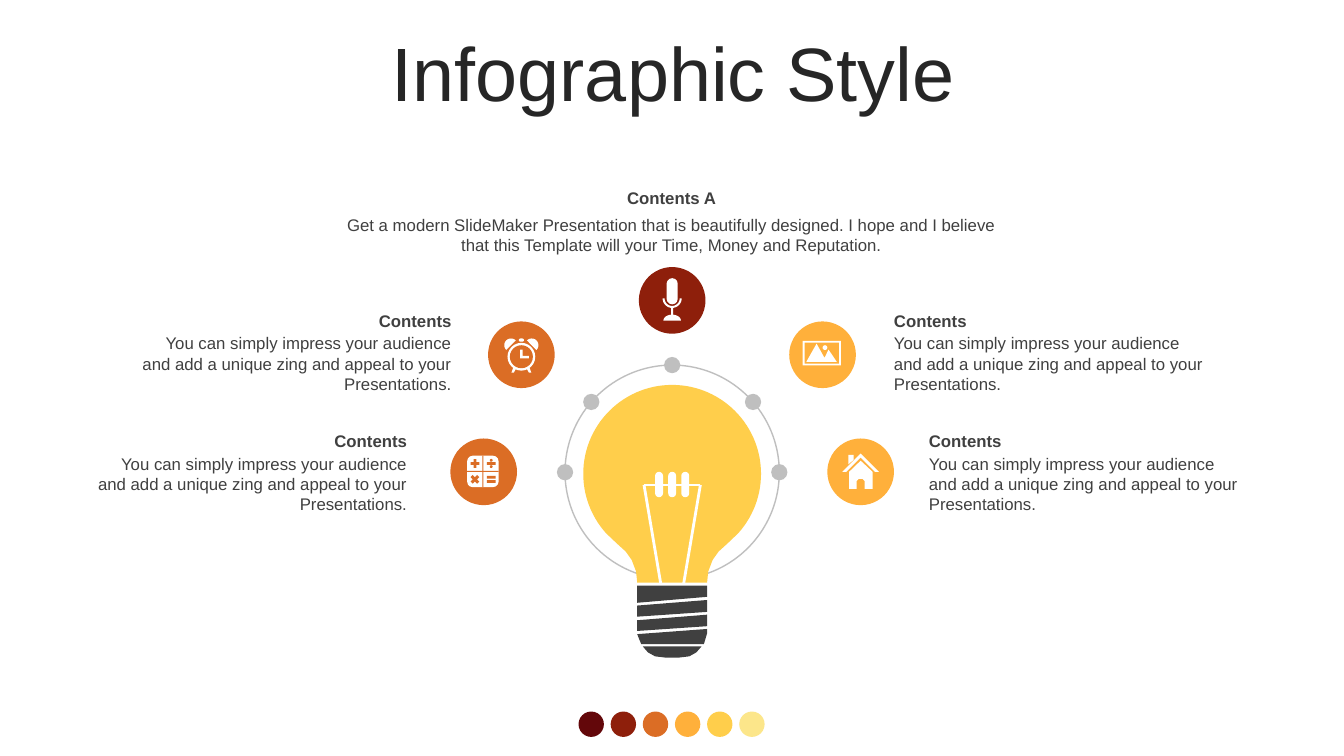
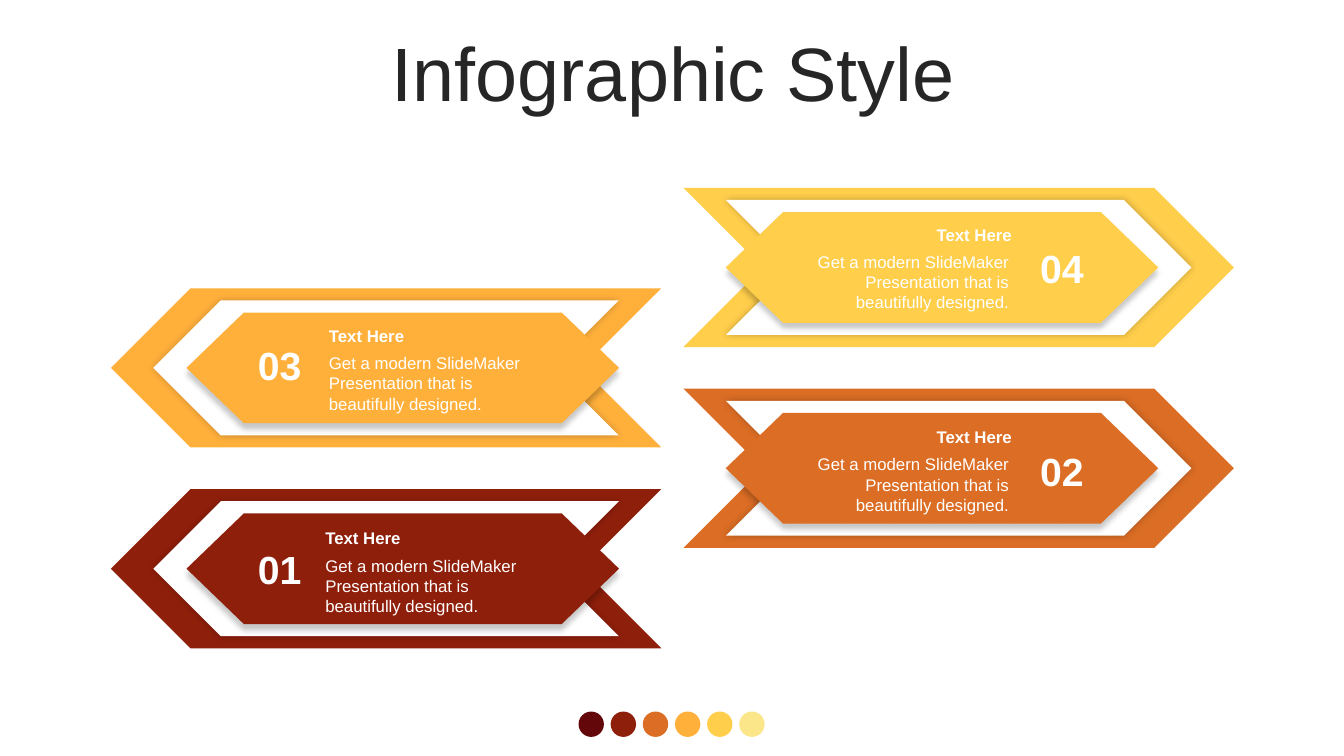
from math import cos, radians, sin

from lxml import etree
from pptx import Presentation
from pptx.dml.color import RGBColor
from pptx.enum.shapes import MSO_CONNECTOR, MSO_SHAPE
from pptx.enum.text import MSO_ANCHOR, MSO_AUTO_SIZE, PP_ALIGN
from pptx.oxml.ns import qn
from pptx.util import Cm, Pt

OVAL, RECTANGLE, ROUNDED = MSO_SHAPE.OVAL, MSO_SHAPE.RECTANGLE, MSO_SHAPE.ROUNDED_RECTANGLE
CHEVRON, HEXAGON = MSO_SHAPE.CHEVRON, MSO_SHAPE.HEXAGON
PLUS, DIVIDE = MSO_SHAPE.MATH_PLUS, MSO_SHAPE.MATH_DIVIDE
TIMES, EQUAL = MSO_SHAPE.MATH_MULTIPLY, MSO_SHAPE.MATH_EQUAL
STRAIGHT = MSO_CONNECTOR.STRAIGHT
LEFT, CENTER, RIGHT = PP_ALIGN.LEFT, PP_ALIGN.CENTER, PP_ALIGN.RIGHT
MIDDLE = MSO_ANCHOR.MIDDLE
NO_FIT, GROW = MSO_AUTO_SIZE.NONE, MSO_AUTO_SIZE.SHAPE_TO_FIT_TEXT

FONT = "Arial"
MAROON, RED, ORANGE = "63070A", "8E1F0B", "DB6D25"
AMBER, YELLOW, CREAM = "FFB03B", "FFCE4B", "FCE68A"
WHITE, GRAY, DARK, INK = "FFFFFF", "BFBFBF", "404040", "262626"

rgb = RGBColor.from_string


def add_shape(slide, outline, x, y, color, width=0, height=0):
    """Add a preset centred on x, y, or a polygon whose points are offsets from x, y (cm)."""
    if isinstance(outline, list):
        points = [(Cm(x + dx), Cm(y + dy)) for dx, dy in outline]
        builder = slide.shapes.build_freeform(*points[0], scale=1.0)
        builder.add_line_segments(points[1:], close=True)
        shape = builder.convert_to_shape()
    else:
        shape = slide.shapes.add_shape(
            outline, Cm(x - width / 2), Cm(y - height / 2), Cm(width), Cm(height))
    shape.shadow.inherit = False
    shape.fill.solid()
    shape.fill.fore_color.rgb = rgb(color)
    shape.line.fill.background()
    return shape


def add_shadow(shape, blur, distance, direction):
    effects = shape.element.spPr.find(qn("a:effectLst"))
    shadow = etree.SubElement(
        effects, qn("a:outerShdw"), blurRad=str(Pt(blur)), dist=str(Pt(distance)),
        dir=str(direction * 60000), algn="ctr", rotWithShape="0")
    tint = etree.SubElement(shadow, qn("a:srgbClr"), val="000000")
    etree.SubElement(tint, qn("a:alpha"), val="22000")


deck = Presentation()
deck.slide_width, deck.slide_height = Cm(33.87), Cm(19.05)
layout = deck.slide_layouts[5]
layout_title = layout.placeholders[0]
layout_title.left, layout_title.top = Cm(0.89), Cm(0.94)
layout_title.width, layout_title.height = Cm(32.16), Cm(2.01)
bulb_slide = deck.slides.add_slide(layout)
arrow_slide = deck.slides.add_slide(layout)

# Palette dots belong to the layout
for index, color in enumerate([MAROON, RED, ORANGE, AMBER, YELLOW, CREAM]):
    dot = add_shape(bulb_slide, OVAL, 14.9 + 0.81 * index, 18.25, color, 0.64, 0.64)
    layout.shapes.element.append(dot.element)

for slide in (bulb_slide, arrow_slide):
    frame = slide.shapes.title.text_frame
    frame.vertical_anchor = MIDDLE
    frame.auto_size = NO_FIT
    para = frame.paragraphs[0]
    para.alignment = CENTER
    para.line_spacing = 0.9
    para.space_before = Pt(10)
    span = para.add_run()
    span.text = "Infographic Style"
    span.font.name = FONT
    span.font.size = Pt(54)
    span.font.color.rgb = rgb(INK)

# Light bulb inside a ring
AXIS = 16.94
RING_Y, RING_RADIUS = 11.9, 2.7
BULB_Y, BULB_RADIUS = 11.94, 2.24
ring = add_shape(bulb_slide, OVAL, AXIS, RING_Y, WHITE, 2 * RING_RADIUS, 2 * RING_RADIUS)
ring.fill.background()
ring.line.color.rgb = rgb(GRAY)
ring.line.width = Pt(1)

glass = [(BULB_RADIUS * cos(radians(angle)), BULB_RADIUS * sin(radians(angle)))
         for angle in range(138, 403, 3)]
neck = [(1.4, 1.75), (1.17, 1.96), (1.02, 2.17), (0.91, 2.46), (0.88, 2.74)]
mirrored_neck = [(-dx, dy) for dx, dy in reversed(neck)]
add_shape(bulb_slide, glass + neck + mirrored_neck, AXIS, BULB_Y, YELLOW)

HALF = 0.88
screw_threads = [
    [(-HALF, 0), (HALF, 0), (HALF, 0.28), (-HALF, 0.43)],
    [(-HALF, 0.5), (HALF, 0.36), (HALF, 0.66), (-HALF, 0.78)],
    [(-HALF, 0.87), (HALF, 0.73), (HALF, 1.02), (-HALF, 1.14)],
    [(-HALF, 1.22), (HALF, 1.09), (HALF, 1.2), (0.8, 1.47), (-0.78, 1.47), (-0.85, 1.3)],
    [(-0.74, 1.53), (0.74, 1.53), (0.61, 1.68), (0.43, 1.78), (0.18, 1.81),
     (-0.18, 1.81), (-0.43, 1.78), (-0.61, 1.68)],
]
for thread in screw_threads:
    add_shape(bulb_slide, thread, AXIS, 14.76, DARK)

filament = [(-0.29, 14.7), (-0.71, 12.22), (0.71, 12.22), (0.29, 14.7)]
for (start_x, start_y), (end_x, end_y) in zip(filament, filament[1:]):
    wire = bulb_slide.shapes.add_connector(
        STRAIGHT, Cm(AXIS + start_x), Cm(start_y), Cm(AXIS + end_x), Cm(end_y))
    wire.line.color.rgb = rgb(WHITE)
    wire.line.width = Pt(2)
    etree.SubElement(wire.element.spPr, qn("a:effectLst"))
for offset in (-0.33, 0, 0.33):
    coil = add_shape(bulb_slide, ROUNDED, AXIS + offset, 12.21, WHITE, 0.2, 0.64)
    coil.adjustments[0] = 0.5

for angle in (180, 221, 270, 319, 360):
    add_shape(bulb_slide, OVAL, AXIS + RING_RADIUS * cos(radians(angle)),
              RING_Y + RING_RADIUS * sin(radians(angle)), GRAY, 0.41, 0.41)

# Icons: parts are outline, x and y offset from the disc centre, colour, width, height
half_circle = [(cos(radians(angle)), sin(radians(angle))) for angle in range(0, 181, 10)]
holder = ([(0.24 * dx, 0.24 * dy) for dx, dy in half_circle]
          + [(0.19 * dx, 0.19 * dy) for dx, dy in reversed(half_circle)])
foot = [(0.22 * dx, -0.15 * dy) for dx, dy in half_circle]
microphone = [
    (ROUNDED, 0, -0.23, WHITE, 0.28, 0.66),
    (holder, 0, -0.05, WHITE),
    (RECTANGLE, 0, 0.28, WHITE, 0.05, 0.2),
    (foot, 0, 0.51, WHITE),
]

hands = [(-0.03, -0.18), (0.03, -0.18), (0.03, -0.02), (0.19, -0.02),
         (0.19, 0.04), (-0.03, 0.04)]
alarm_clock = [
    (OVAL, 0, 0.05, WHITE, 0.7, 0.7),
    (OVAL, 0, 0.05, ORANGE, 0.58, 0.58),
    (hands, 0, 0.05, WHITE),
    (ROUNDED, 0, -0.37, WHITE, 0.13, 0.08),
]
for side in (-1, 1):
    bell = [(side * 0.17 * cos(radians(angle)), 0.17 * sin(radians(angle)))
            for angle in range(-135, 46, 15)]
    leg = [(side * 0.13, 0.34), (side * 0.2, 0.31), (side * 0.25, 0.45), (side * 0.19, 0.45)]
    alarm_clock += [(bell, side * 0.26, -0.24, WHITE), (leg, 0, 0, WHITE)]

mountains = [(-0.41, 0.18), (-0.15, -0.28), (0.05, 0.08), (0.15, -0.13), (0.36, 0.18)]
landscape = [
    (RECTANGLE, -0.02, -0.04, WHITE, 0.97, 0.62),
    (RECTANGLE, -0.02, -0.04, AMBER, 0.86, 0.53),
    (OVAL, 0.06, -0.18, WHITE, 0.12, 0.12),
    (mountains, 0, 0, WHITE),
]

calculator = [
    (ROUNDED, -0.02, -0.01, WHITE, 0.79, 0.79),
    (RECTANGLE, -0.02, -0.01, ORANGE, 0.03, 0.79),
    (RECTANGLE, -0.02, -0.01, ORANGE, 0.79, 0.03),
    (PLUS, -0.22, -0.21, ORANGE, 0.3, 0.3),
    (DIVIDE, 0.19, -0.21, ORANGE, 0.3, 0.3),
    (TIMES, -0.22, 0.19, ORANGE, 0.32, 0.32),
    (EQUAL, 0.19, 0.19, ORANGE, 0.3, 0.3),
]

roof = [(0, -0.46), (0.46, 0), (0.36, 0), (0, -0.36), (-0.36, 0), (-0.46, 0)]
walls = [(0, -0.28), (0.3, 0), (0.3, 0.43), (0.1, 0.43), (0.1, 0.23), (0.05, 0.18),
         (-0.05, 0.18), (-0.1, 0.23), (-0.1, 0.43), (-0.29, 0.43), (-0.29, 0)]
chimney = [(-0.31, -0.43), (-0.18, -0.43), (-0.18, -0.3), (-0.31, -0.19)]
house = [(outline, 0, 0, WHITE) for outline in (roof, walls, chimney)]

discs = [
    (AXIS, 7.57, RED, microphone),
    (13.14, 8.94, ORANGE, alarm_clock),
    (20.73, 8.94, AMBER, landscape),
    (12.19, 11.89, ORANGE, calculator),
    (21.69, 11.89, AMBER, house),
]
for x, y, disc_color, icon in discs:
    add_shape(bulb_slide, OVAL, x, y, disc_color, 1.68, 1.68)
    for outline, dx, dy, color, *size in icon:
        part = add_shape(bulb_slide, outline, x + dx, y + dy, color, *size)
        if outline == ROUNDED:
            part.adjustments[0] = 0.17 if icon is calculator else 0.5

# Texts: slide, left, top, width, height, wording, size, bold, alignment, colour
texts = [
    (bulb_slide, 8.15, 4.6, 17.55, 0.76, "Contents A", 12, True, CENTER, DARK),
    (bulb_slide, 8.15, 5.28, 17.55, 1.27,
     "Get a modern SlideMaker Presentation that is beautifully designed. I hope and I "
     "believe that this Template will your Time, Money and Reputation.",
     12, False, CENTER, DARK),
]
impression = ("You can simply impress your audience and add a unique zing and appeal "
              "to your Presentations.")
for left, top, align in [(22.28, 7.7, LEFT), (23.16, 10.74, LEFT),
                         (3.3, 7.7, RIGHT), (2.18, 10.74, RIGHT)]:
    texts += [
        (bulb_slide, left, top, 8.33, 0.76, "Contents", 12, True, align, DARK),
        (bulb_slide, left, top + 0.57, 8.33, 1.8, impression, 12, False, align, DARK),
    ]

# Arrows climb from 01 to 04, alternating left and right
arrows = [
    ("01", RED, 13.61, 7.95),
    ("02", ORANGE, 11.15, 19.63),
    ("03", AMBER, 8.48, 8.04),
    ("04", YELLOW, 6.02, 19.63),
]
for index, (number, color, number_top, text_left) in enumerate(arrows):
    points_left = index % 2 == 0
    x, y = (9.73 if points_left else 24.16), 14.33 - 2.53 * index
    hexagon_x = x + (0.42 if points_left else -0.42)
    band = add_shape(arrow_slide, CHEVRON, x, y, color, 13.87, 4.01)
    inset = add_shape(arrow_slide, CHEVRON, x, y, WHITE, 11.73, 3.4)
    label = add_shape(arrow_slide, HEXAGON, hexagon_x, y, color, 10.9, 2.79)
    label.adjustments[0] = 0.518
    add_shadow(inset, 5, 0, 0)
    add_shadow(label, 4, 4, 90)
    if points_left:
        for shape in (band, inset, label):
            shape.rotation = 180
    align = LEFT if points_left else RIGHT
    number_left = 6.15 if points_left else 25.86
    text_top = 13.18 - 2.55 * index
    texts += [
        (arrow_slide, number_left, number_top, 1.8, 1.45, number, 28, True, CENTER, WHITE),
        (arrow_slide, text_left, text_top + 0.69, 6.05, 1.8,
         "Get a modern SlideMaker Presentation that is beautifully designed.",
         12, False, align, WHITE),
        (arrow_slide, text_left, text_top, 6.12, 0.76, "Text Here", 12, True, align, WHITE),
    ]

for slide, left, top, width, height, wording, size, bold, align, color in texts:
    box = slide.shapes.add_textbox(Cm(left), Cm(top), Cm(width), Cm(height))
    frame = box.text_frame
    frame.word_wrap = True
    frame.auto_size = GROW
    para = frame.paragraphs[0]
    para.alignment = align
    span = para.add_run()
    span.text = wording
    span.font.name = FONT
    span.font.size = Pt(size)
    span.font.bold = bold
    span.font.color.rgb = rgb(color)

deck.save("out.pptx")
